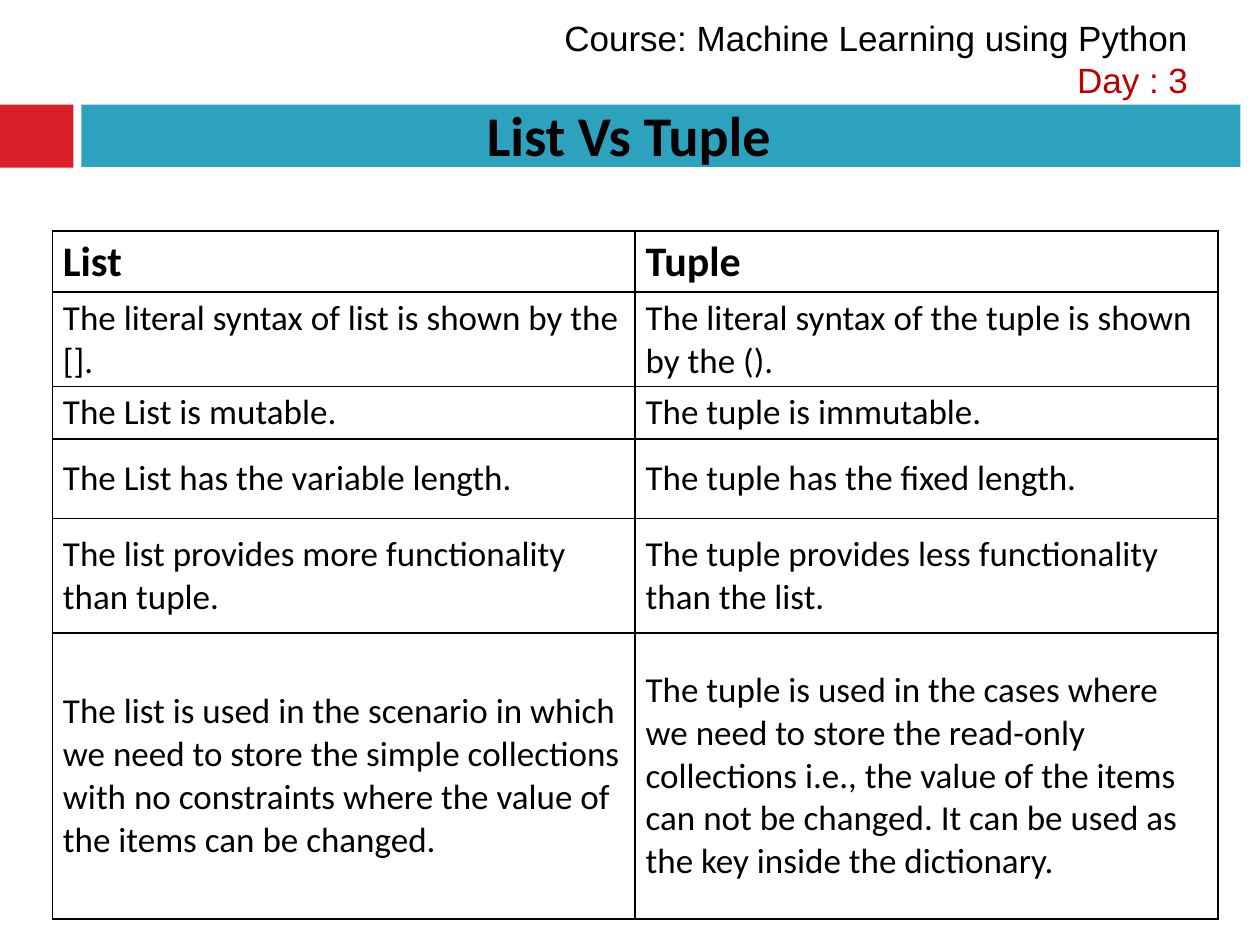
"""Build the List Vs Tuple comparison slide."""
from typing import NamedTuple

from lxml import etree
from pptx import Presentation
from pptx.dml.color import RGBColor
from pptx.enum.shapes import MSO_SHAPE
from pptx.enum.text import MSO_ANCHOR, PP_ALIGN
from pptx.oxml.ns import qn
from pptx.util import Pt

RECTANGLE = MSO_SHAPE.RECTANGLE
MIDDLE = MSO_ANCHOR.MIDDLE
LEFT, CENTER, RIGHT = PP_ALIGN.LEFT, PP_ALIGN.CENTER, PP_ALIGN.RIGHT

BLACK = RGBColor(0x00, 0x00, 0x00)
CRIMSON = RGBColor(0xC0, 0x00, 0x00)
RED = RGBColor(0xDA, 0x1F, 0x28)
TEAL = RGBColor(0x2D, 0xA2, 0xBF)


class Area(NamedTuple):
    left: float
    top: float
    width: float
    height: float

    def lengths(self) -> list:
        return [Pt(value) for value in self]


class Style(NamedTuple):
    font: str
    size: float
    color: RGBColor = BLACK
    bold: bool = False


class Line(NamedTuple):
    text: str
    style: Style


class Row(NamedTuple):
    height: float
    texts: tuple[str, str]


COURSE = Style("Arial", 20)
DAY = Style("Arial", 20, CRIMSON)
TITLE = Style("Calibri", 32, bold=True)
HEADING = Style("Calibri", 24, bold=True)
BODY = Style("Calibri", 20)

BANDS = [
    (Area(0, 59.8, 42, 36), RED),
    (Area(46.5, 59.8, 662.3, 35.6), TEAL),
]
TEXTS = [
    (Area(300, 6, 386, 55.7), RIGHT,
     [Line("Course: Machine Learning using Python", COURSE), Line("Day : 3", DAY)]),
    (Area(30, 54, 666, 46), CENTER, [Line("List Vs Tuple ", TITLE)]),
]
TABLE_AREA = Area(30, 132, 666, 393)
ROWS = [
    Row(26, ("List", "Tuple")),
    Row(45.5, ("The literal syntax of list is shown by the [].",
               "The literal syntax of the tuple is shown by the ().")),
    Row(26, ("The List is mutable.", "The tuple is immutable.")),
    Row(45.5, ("The List has the variable length.", "The tuple has the fixed length.")),
    Row(65.5, ("The list provides more functionality than tuple.",
               "The tuple provides less functionality than the list.")),
    Row(163.5, ("The list is used in the scenario in which we need to store the simple "
                "collections with no constraints where the value of the items can be changed.",
                "The tuple is used in the cases where we need to store the read-only "
                "collections i.e., the value of the items can not be changed. "
                "It can be used as the key inside the dictionary.")),
]


def add_band(page, area: Area, color: RGBColor) -> None:
    band = page.shapes.add_shape(RECTANGLE, *area.lengths())
    band.shadow.inherit = False
    band.fill.solid()
    band.fill.fore_color.rgb = color
    band.line.fill.background()


def add_span(para, line: Line) -> None:
    span = para.add_run()
    span.text = line.text
    span.font.name = line.style.font
    span.font.size = Pt(line.style.size)
    span.font.bold = line.style.bold
    span.font.color.rgb = line.style.color


def add_text(page, area: Area, alignment: PP_ALIGN, lines: list[Line]) -> None:
    frame = page.shapes.add_textbox(*area.lengths()).text_frame
    frame.word_wrap = True
    for index, line in enumerate(lines):
        para = frame.add_paragraph() if index else frame.paragraphs[0]
        para.alignment = alignment
        add_span(para, line)


def add_borders(cell) -> None:
    properties = cell._tc.get_or_add_tcPr()
    for index, side in enumerate(("a:lnL", "a:lnR", "a:lnT", "a:lnB")):
        border = etree.Element(qn(side), w=str(Pt(1)))
        fill = etree.SubElement(border, qn("a:solidFill"))
        etree.SubElement(fill, qn("a:srgbClr"), val=str(BLACK))
        properties.insert(index, border)


def fill_cell(cell, line: Line) -> None:
    cell.fill.background()
    cell.vertical_anchor = MIDDLE
    cell.margin_left = cell.margin_right = Pt(6)
    cell.margin_top = cell.margin_bottom = Pt(3)
    add_borders(cell)
    para = cell.text_frame.paragraphs[0]
    para.alignment = LEFT
    add_span(para, line)


def add_comparison(page, area: Area, rows: list[Row]) -> None:
    holder = page.shapes.add_table(len(rows), 2, *area.lengths())
    table = holder.table
    table.horz_banding = False
    for index, row in enumerate(rows):
        table.rows[index].height = Pt(row.height)
        style = BODY if index else HEADING
        for column, text in enumerate(row.texts):
            fill_cell(table.cell(index, column), Line(text, style))
    holder.height = Pt(area.height)


def main() -> None:
    deck = Presentation()
    deck.slide_width, deck.slide_height = Pt(720), Pt(540)
    page = deck.slides.add_slide(deck.slide_layouts[6])
    for area, color in BANDS:
        add_band(page, area, color)
    for area, alignment, lines in TEXTS:
        add_text(page, area, alignment, lines)
    add_comparison(page, TABLE_AREA, ROWS)
    deck.save("out.pptx")


if __name__ == "__main__":
    main()
